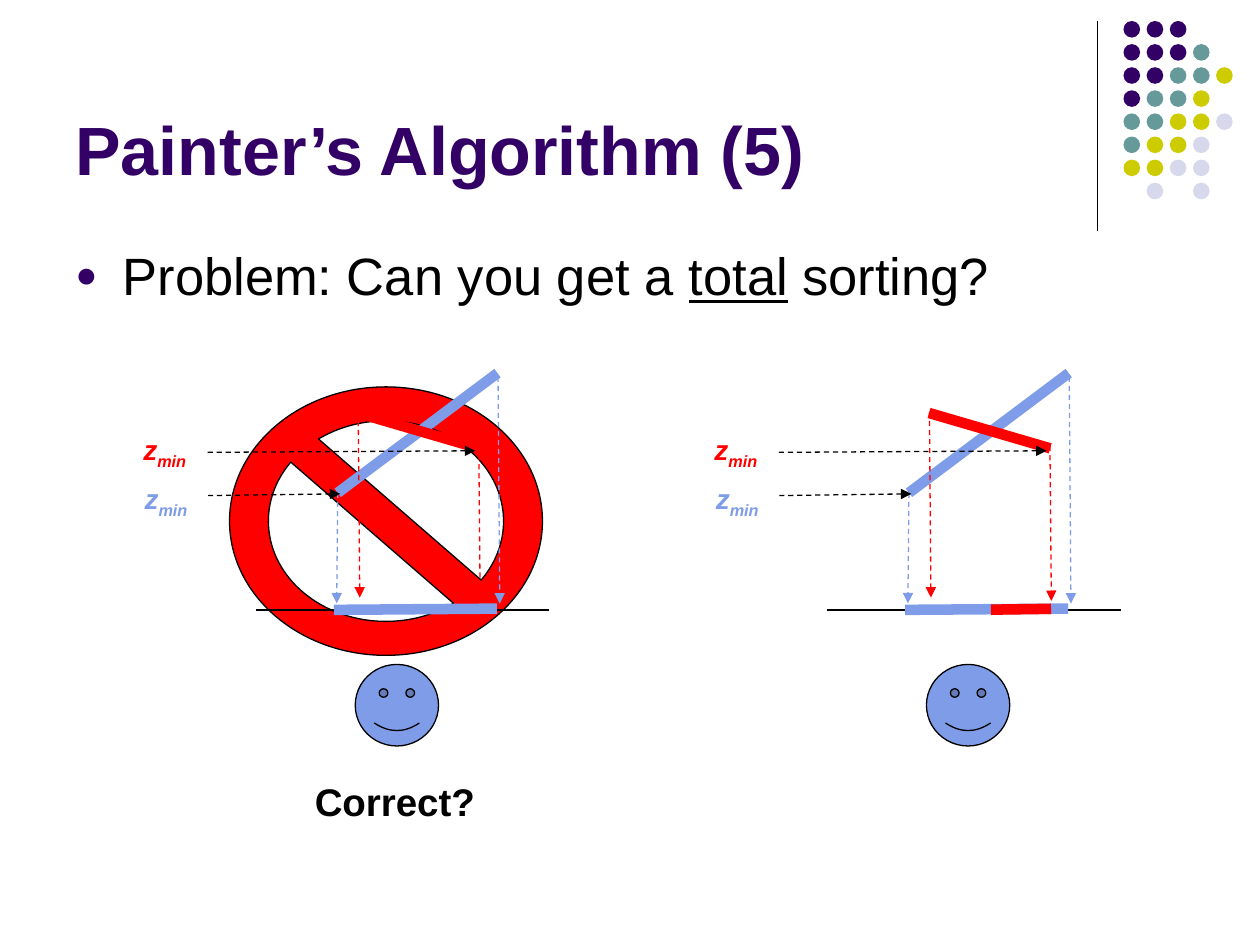
import math

from lxml import etree
from pptx import Presentation
from pptx import util as u
from pptx.dml.color import RGBColor
from pptx.enum import dml, shapes, text
from pptx.oxml.ns import qn

PURPLE, TEAL, OLIVE, PALE = "330066", "669999", "CCCC00", "D8D8EC"
BLUE, RED, BLACK = "7E9CE8", "FF0000", "000000"


def color(value):
    return RGBColor.from_string(value)


def add_span(para, words, size=16, fill=BLACK, bold=False, italic=False,
             underline=False, baseline=0):
    span = para.add_run()
    span.text = words
    font = span.font
    font.name, font.size = "Arial", u.Pt(size)
    font.bold, font.italic, font.underline = bold, italic, underline
    font.color.rgb = color(fill)
    if baseline:
        span._r.get_or_add_rPr().set("baseline", str(baseline * 1000))


class Painter:
    """Holds the line style and the page being drawn."""

    thin = 0.75
    thick = 6

    def __init__(self, page):
        self.page = page
        self.canvas = page.shapes

    def open_group(self):
        self.canvas = self.page.shapes.add_group_shape().shapes

    def close_group(self):
        self.canvas = self.page.shapes

    def finish(self, shape, fill, line=None):
        shape.shadow.inherit = False
        shape.fill.solid()
        shape.fill.fore_color.rgb = color(fill)
        if line:
            shape.line.color.rgb = color(line)
            shape.line.width = u.Pt(self.thin)
        else:
            shape.line.fill.background()

    def shape(self, kind, left, top, width, height, fill, line=None):
        shape = self.canvas.add_shape(
            kind, u.Pt(left), u.Pt(top), u.Pt(width), u.Pt(height))
        self.finish(shape, fill, line)

    def curved_outline(self, loops, fill, line):
        """Each loop is a start point followed by triples of Bezier points."""
        loops = [[(u.Pt(x), u.Pt(y)) for x, y in loop] for loop in loops]
        builder = self.canvas.build_freeform(*loops[0][0])
        for index, loop in enumerate(loops):
            if index:
                builder.move_to(*loop[0])
            builder.add_line_segments(loop[1:], close=True)
        shape = builder.convert_to_shape()
        # Join every three segments into one curve
        segments = list(shape._element.iter(qn("a:lnTo")))
        for first, second, third in zip(*[iter(segments)] * 3):
            first.tag = qn("a:cubicBezTo")
            for segment in (second, third):
                first.append(segment[0])
                segment.getparent().remove(segment)
        self.finish(shape, fill, line)

    def line(self, start, end, stroke=BLACK, width=thin, dashed=False, arrow=None):
        line = self.canvas.add_connector(
            shapes.MSO_CONNECTOR.STRAIGHT, *(u.Pt(v) for v in (*start, *end)))
        line.line.color.rgb = color(stroke)
        line.line.width = u.Pt(width)
        if dashed:
            line.line.dash_style = dml.MSO_LINE.DASH
        properties = line._element.spPr
        if arrow:
            etree.SubElement(properties.find(qn("a:ln")), qn(f"a:{arrow}"),
                             type="triangle")
        etree.SubElement(properties, qn("a:effectLst"))

    def box(self, left, top, width, height, wrap=False, anchor=text.MSO_ANCHOR.TOP):
        frame = self.canvas.add_textbox(
            u.Pt(left), u.Pt(top), u.Pt(width), u.Pt(height)).text_frame
        frame.word_wrap = wrap
        frame.vertical_anchor = anchor
        if not wrap:
            frame.auto_size = text.MSO_AUTO_SIZE.SHAPE_TO_FIT_TEXT
        return frame.paragraphs[0]

    def bullet(self, para, fill, percent, indent):
        properties = para._p.get_or_add_pPr()
        properties.set("marL", str(u.Pt(indent)))
        properties.set("indent", str(-u.Pt(indent)))
        tint = etree.SubElement(properties, qn("a:buClr"))
        etree.SubElement(tint, qn("a:srgbClr"), val=fill)
        etree.SubElement(properties, qn("a:buSzPct"), val=str(percent * 1000))
        etree.SubElement(properties, qn("a:buFont"), typeface="Arial")
        etree.SubElement(properties, qn("a:buChar"), char="●")

    def depth_label(self, left, top, fill):
        para = self.box(left, top, 38.9, 29.5)
        add_span(para, "z", fill=fill, bold=True, italic=True)
        add_span(para, "min", fill=fill, bold=True, italic=True, baseline=-25)


def arc(rx, ry, first, last, pieces):
    """Bezier points of an elliptic arc around the centre of the sign."""
    step = math.radians(last - first) / pieces
    reach = 4 / 3 * math.tan(step / 4)

    def point(angle, pull=0):
        return (220.6 + rx * (math.cos(angle) - pull * math.sin(angle)),
                297.8 + ry * (math.sin(angle) + pull * math.cos(angle)))

    angle = math.radians(first)
    points = [point(angle)]
    for _ in range(pieces):
        points += [point(angle, reach), point(angle + step, -reach),
                   point(angle + step)]
        angle += step
    return points


def draw_scene(painter, shift, axis_starts, red_in_front):
    def at(x, y):
        return x + shift, y

    def drop(x, top, end_x, bottom, stroke):
        painter.line(at(x, top), at(end_x, bottom), stroke,
                     dashed=True, arrow="tailEnd")

    def pointer(x, y, end_x, end_y):
        painter.line(at(x, y), at(end_x, end_y), dashed=True, arrow="headEnd")

    painter.open_group()
    # Screen line, the two planes and the viewer
    for start in axis_starts:
        painter.line(at(start, 348.5), at(314, 348.5))
    drop(193, 281.6, 192.4, 344.8, BLUE)
    painter.line(at(193, 281.6), at(284.3, 213.2), BLUE, painter.thick)
    painter.shape(shapes.MSO_SHAPE.SMILEY_FACE, 203 + shift, 379.7, 47.6, 46.6,
                  BLUE, BLACK)
    painter.line(at(204.5, 236), at(273.7, 256.2), RED, painter.thick)

    # Nearest depths
    pointer(271.6, 257.6, 116.8, 258.5)
    painter.depth_label(74.8 + shift, 243.4, RED)
    pointer(194.4, 282.2, 119, 283.2)
    painter.depth_label(75.6 + shift, 271.4, BLUE)

    # Projections onto the screen
    drop(204.7, 235.4, 205.6, 341.5, RED)
    drop(273.6, 254.9, 274.4, 343.4, RED)
    drop(284.6, 215.3, 285.6, 344.9, BLUE)
    painter.line(at(190.8, 348.5), at(284, 347.8), BLUE, painter.thick)
    if red_in_front:
        painter.line(at(239.8, 348.4), at(274.2, 347.9), RED, painter.thick)
    painter.close_group()


def main():
    deck = Presentation()
    deck.slide_width, deck.slide_height = u.Pt(720), u.Pt(540)
    painter = Painter(deck.slides.add_slide(deck.slide_layouts[6]))

    # Corner decoration
    painter.line((627.12, 12.2), (627.12, 131.8))
    dot_colors = {"p": PURPLE, "t": TEAL, "o": OLIVE, "l": PALE}
    dot_rows = ["ppp", "pppt", "pptto", "ptto", "ttool", "tool", "ooll", ".l.l"]
    painter.open_group()
    for row, dots in enumerate(dot_rows):
        for column, dot in enumerate(dots):
            if dot in dot_colors:
                painter.shape(shapes.MSO_SHAPE.OVAL, 642 + 13.23 * column,
                              12 + 13.2 * row, 9.5, 9.5, dot_colors[dot])
    painter.close_group()

    # Prohibition sign
    painter.curved_outline(
        [arc(89.4, 76.7, 180, 540, 4), arc(67.2, 57.3, 36, -125, 3),
         arc(67.2, 57.3, 216, 55, 3)], RED, BLACK)

    # Title and problem
    title = painter.box(36, 9.4, 594, 102.2, True, text.MSO_ANCHOR.BOTTOM)
    add_span(title, "Painter’s Algorithm (5)", size=39, fill=PURPLE, bold=True)
    problem = painter.box(36, 135.4, 648, 347, True)
    painter.bullet(problem, PURPLE, percent=70, indent=27)
    add_span(problem, "Problem: Can you get a ", size=30)
    add_span(problem, "total", size=30, underline=True)
    add_span(problem, " sorting?", size=30)

    # Wrong and right drawing order
    draw_scene(painter, 0, axis_starts=(146.2, 146.9), red_in_front=False)
    draw_scene(painter, 326.4, axis_starts=(146.2,), red_in_front=True)
    add_span(painter.box(172.8, 440.9, 105.8, 33.8), "Correct?", size=22, bold=True)

    deck.save("out.pptx")


if __name__ == "__main__":
    main()
